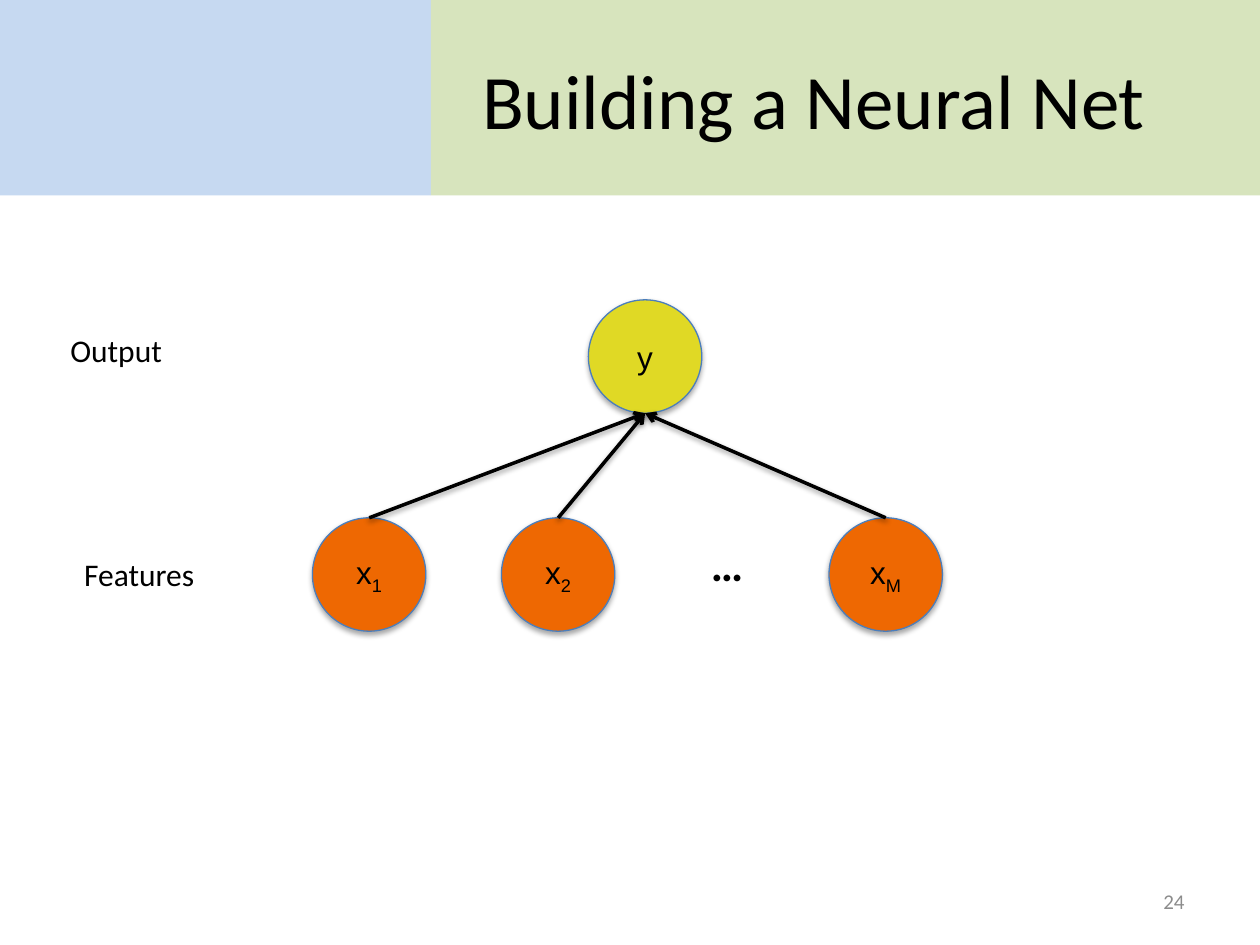
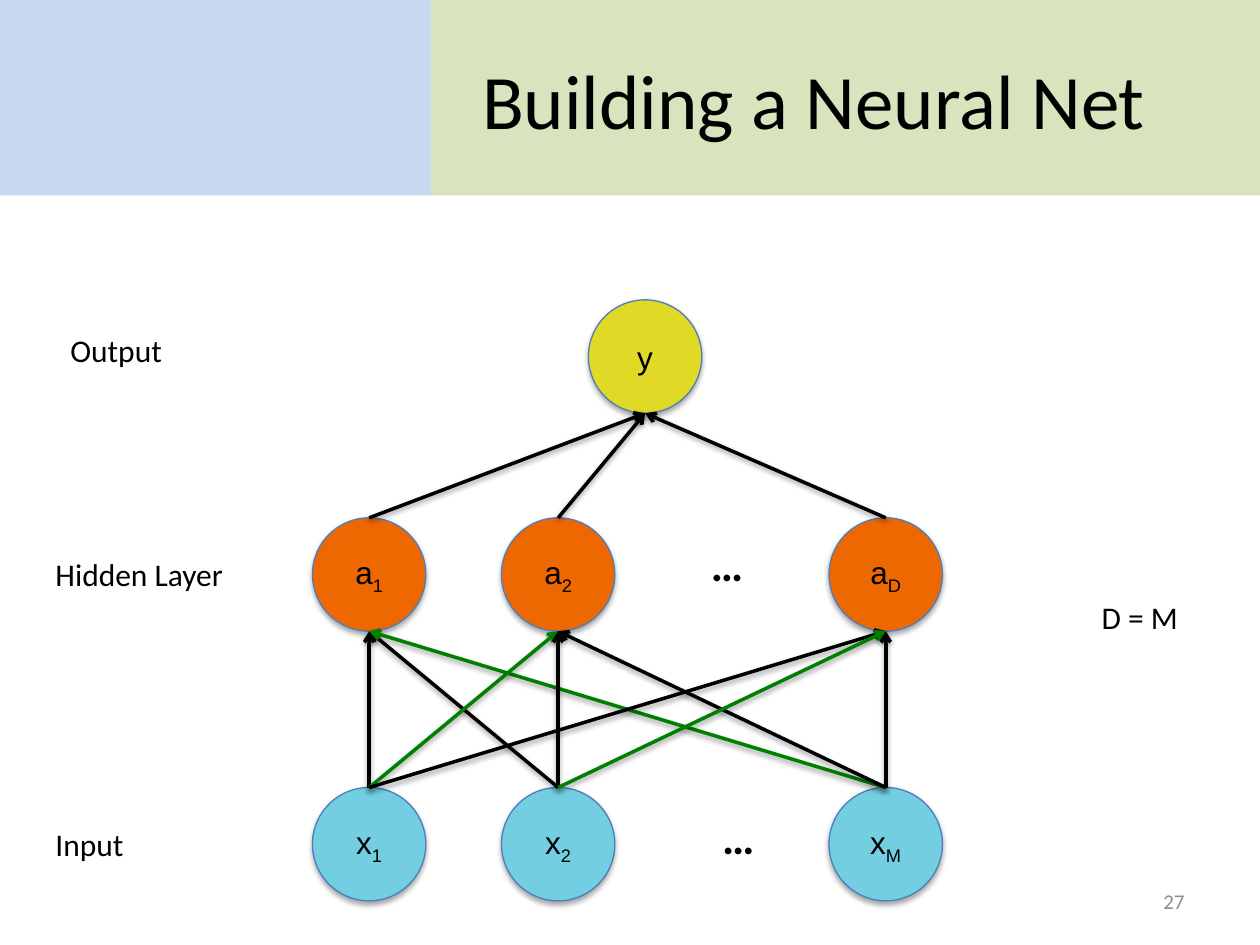
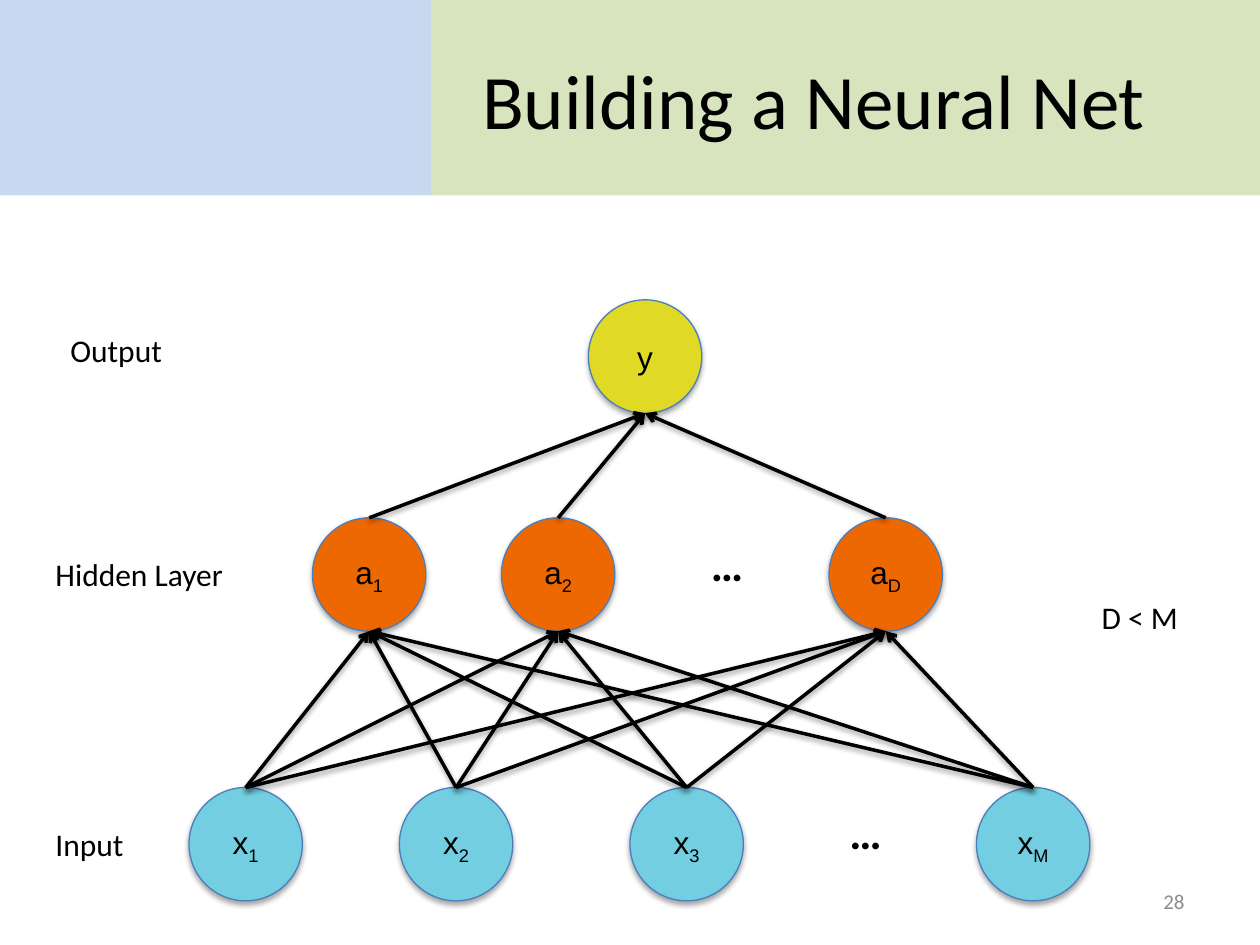
from collections import namedtuple
from itertools import product

from lxml import etree
from pptx import Presentation
from pptx import oxml
from pptx import util as u
from pptx.dml import color
from pptx.enum import shapes, text

Box = namedtuple("Box", "left top width height")
Layer = namedtuple("Layer", "caption fill nodes lefts dots", defaults=(None,))
Caption = namedtuple("Caption", "words box align", defaults=("CENTER",))

BLUE_BAND, GREEN_BAND = "C6D9F1", "D7E4BD"
YELLOW, ORANGE, CYAN = "E0D925", "EE6802", "72CEE0"
BLACK, GREEN, GREY, RIM = "000000", "008000", "8C8C8C", "4B7EBC"

HEADER = Box(0, 0, 10, 1.55)
BODY = Box(0, 1.55, 10, 5.95)
LAYER_TOPS = (0.83, 2.56, 4.7)
NODE = 0.9
HIDDEN_LEFTS = (2.48, 3.98, 6.58)
HIDDEN_DOTS = (5.48, 2.65)

TITLE_FONT = dict(name="Calibri", size=u.Pt(44))
CAPTION_FONT = dict(name="Calibri", size=u.Pt(18))
DOTS_FONT = dict(name="Calibri", size=u.Pt(26), bold=True)
NODE_FONT = dict(name="Arial", size=u.Pt(18))
NUMBER_FONT = dict(name="Calibri", size=u.Pt(12))

OUTPUT = Layer(Caption("Output", Box(0.46, 1.03, 1.42, 0.4), "LEFT"), YELLOW, ["y"], [4.67])
MIDDLE_CAPTION = Box(-0.02, 2.81, 2.25, 0.4)
INPUT_CAPTION = Caption("Input", Box(0, 4.95, 1.42, 0.4))
RELATION_BOX = Box(7.92, 3.15, 2.25, 0.4)

FEATURES = Layer(Caption("Features", MIDDLE_CAPTION), ORANGE,
                 ["x1", "x2", "xM"], HIDDEN_LEFTS, HIDDEN_DOTS)
HIDDEN = Layer(Caption("Hidden Layer", MIDDLE_CAPTION), ORANGE,
               ["a1", "a2", "aD"], HIDDEN_LEFTS, HIDDEN_DOTS)
EQUAL_INPUT = Layer(INPUT_CAPTION, CYAN, ["x1", "x2", "xM"], HIDDEN_LEFTS, (5.57, 4.82))
WIDER_INPUT = Layer(INPUT_CAPTION, CYAN, ["x1", "x2", "x3", "xM"],
                    (1.5, 3.17, 5, 7.75), (6.58, 4.78))
GREEN_LINKS = {(0, 2), (1, 0), (2, 1)}


def rgb(value):
    return color.RGBColor.from_string(value)


def within(region, box):
    return Box(region.left + box.left, region.top + box.top, box.width, box.height)


def inches(values):
    return [u.Inches(value) for value in values]


def apply(target, values):
    for name, value in values.items():
        setattr(target, name, value)


def cast_shadow(element, distance, opacity):
    properties = element.spPr
    for old in properties.findall(oxml.ns.qn("a:effectLst")):
        properties.remove(old)
    properties.append(oxml.parse_xml(
        f'<a:effectLst {oxml.ns.nsdecls("a")}>'
        f'<a:outerShdw blurRad="40000" dist="{distance}" dir="5400000" rotWithShape="0">'
        f'<a:srgbClr val="{BLACK}"><a:alpha val="{opacity}"/></a:srgbClr>'
        '</a:outerShdw></a:effectLst>'))


def add_words(paragraph, words, font, ink=BLACK):
    run = paragraph.add_run()
    run.text = words
    apply(run.font, font)
    run.font.color.rgb = rgb(ink)
    return run


def add_label(slide, words, box, font, ink=BLACK, align="CENTER", anchor="MIDDLE", grow=False):
    label = slide.shapes.add_textbox(*inches(box))
    apply(label.text_frame, dict(
        word_wrap=True,
        vertical_anchor=text.MSO_ANCHOR[anchor],
        auto_size=text.MSO_AUTO_SIZE.SHAPE_TO_FIT_TEXT if grow else text.MSO_AUTO_SIZE.NONE))
    paragraph = label.text_frame.paragraphs[0]
    paragraph.alignment = text.PP_ALIGN[align]
    add_words(paragraph, words, font, ink)


def add_caption(slide, region, caption):
    add_label(slide, caption.words, within(region, caption.box), CAPTION_FONT,
              align=caption.align, anchor="TOP", grow=True)


def add_band(slide, box, fill):
    band = slide.shapes.add_shape(shapes.MSO_SHAPE.RECTANGLE, *inches(box))
    band.shadow.inherit = False
    band.fill.solid()
    band.fill.fore_color.rgb = rgb(fill)
    band.line.fill.background()


def add_header(slide, region, title):
    split = 3.42
    add_band(slide, within(region, Box(0, 0, split, region.height)), BLUE_BAND)
    add_band(slide, within(region, Box(split, 0, region.width - split, region.height)), GREEN_BAND)
    add_label(slide, title, within(region, Box(split, 0.16, 6.08, 1.25)), TITLE_FONT)


def add_node(slide, box, name, fill):
    node = slide.shapes.add_shape(shapes.MSO_SHAPE.FLOWCHART_CONNECTOR, *inches(box))
    node.fill.solid()
    node.fill.fore_color.rgb = rgb(fill)
    node.line.color.rgb = rgb(RIM)
    node.line.width = u.Pt(0.75)
    cast_shadow(node.element, 23000, 35000)
    node.text_frame.vertical_anchor = text.MSO_ANCHOR.MIDDLE
    paragraph = node.text_frame.paragraphs[0]
    paragraph.alignment = text.PP_ALIGN.CENTER
    add_words(paragraph, name[0], NODE_FONT)
    if name[1:]:
        index = add_words(paragraph, name[1:], NODE_FONT)
        index.font._element.set("baseline", "-25000")


def add_link(slide, upper, lower, ink):
    ends = (upper.left + NODE / 2, upper.top + NODE, lower.left + NODE / 2, lower.top)
    link = slide.shapes.add_connector(shapes.MSO_CONNECTOR.STRAIGHT, *inches(ends))
    link.line.color.rgb = rgb(ink)
    link.line.width = u.Pt(2)
    etree.SubElement(link.line._get_or_add_ln(), oxml.ns.qn("a:headEnd"), type="arrow")
    cast_shadow(link._element, 20000, 38000)


def add_network(slide, region, layers, green_links):
    rows = [[within(region, Box(left, top, NODE, NODE)) for left in layer.lefts]
            for layer, top in zip(layers, LAYER_TOPS)]
    for layer, row in zip(layers, rows):
        for name, box in zip(layer.nodes, row):
            add_node(slide, box, name, layer.fill)
        if layer.dots:
            add_label(slide, "…", within(region, Box(*layer.dots, 0.58, 0.54)), DOTS_FONT, grow=True)
        add_caption(slide, region, layer.caption)
    for depth, (uppers, lowers) in enumerate(zip(rows, rows[1:])):
        for (i, upper), (j, lower) in product(enumerate(uppers), enumerate(lowers)):
            is_green = depth == 1 and (i, j) in green_links
            add_link(slide, upper, lower, GREEN if is_green else BLACK)


def add_net_slide(deck, number, layers, relation=None, green_links=()):
    slide = deck.slides.add_slide(deck.slide_layouts[6])
    add_header(slide, HEADER, "Building a Neural Net")
    add_network(slide, BODY, layers, green_links)
    if relation:
        add_caption(slide, BODY, Caption(relation, RELATION_BOX))
    add_label(slide, str(number), within(BODY, Box(7.17, 5.4, 2.33, 0.4)),
              NUMBER_FONT, GREY, align="RIGHT")


def main():
    deck = Presentation()
    deck.slide_width, deck.slide_height = inches((10, 7.5))
    add_net_slide(deck, 24, [OUTPUT, FEATURES])
    add_net_slide(deck, 27, [OUTPUT, HIDDEN, EQUAL_INPUT], "D = M", GREEN_LINKS)
    add_net_slide(deck, 28, [OUTPUT, HIDDEN, WIDER_INPUT], "D < M")
    deck.save("out.pptx")


if __name__ == "__main__":
    main()
